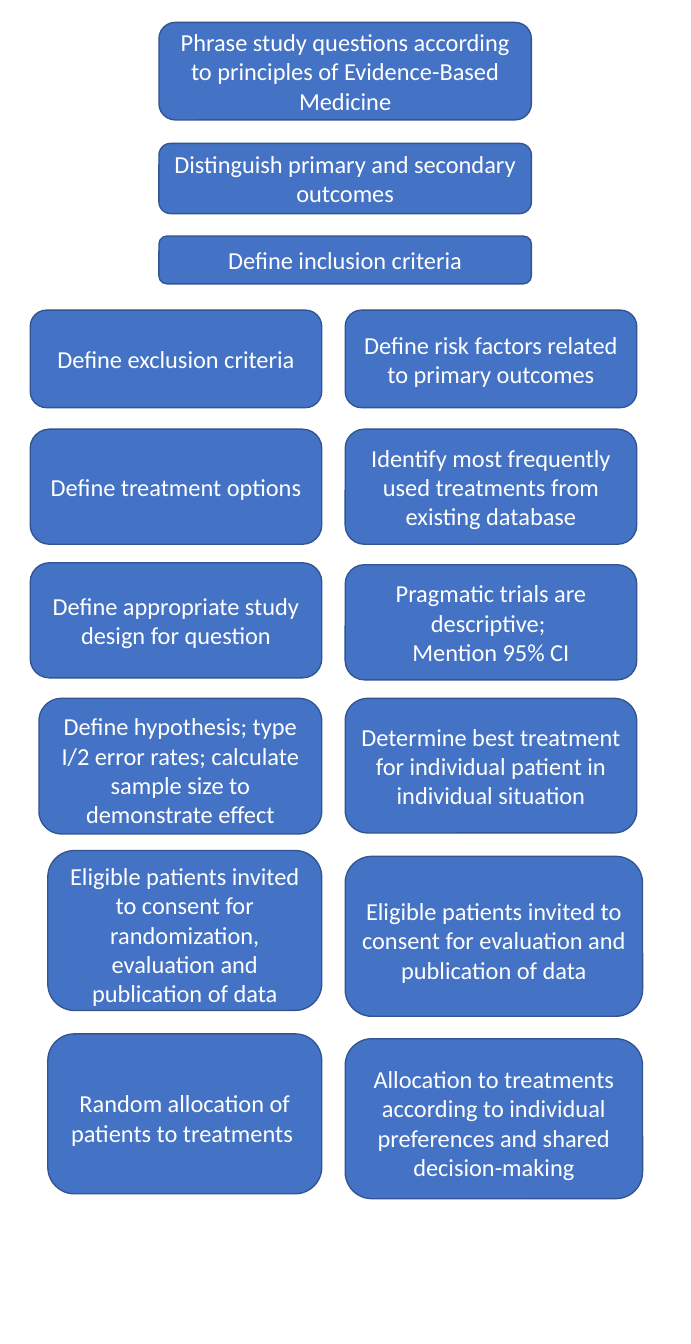
from dataclasses import dataclass

from pptx import Presentation
from pptx.dml.color import RGBColor
from pptx.enum.shapes import MSO_SHAPE as Preset
from pptx.enum.text import MSO_ANCHOR as Anchor, PP_ALIGN as Align
from pptx.util import Inches, Pt


@dataclass(frozen=True)
class Theme:
    font: str = "Calibri"
    size: int = 18
    text: str = "FFFFFF"
    fill: str = "4472C4"
    outline: str = "325491"
    outline_width: int = 1
    side_inset: float = 0.09


class Flowchart:
    def __init__(self, slide, theme):
        self.slide = slide
        self.theme = theme

    def step(self, left, top, width, height, lines, top_inset=0.05):
        theme = self.theme
        box = self.slide.shapes.add_shape(
            Preset.ROUNDED_RECTANGLE,
            Inches(left), Inches(top), Inches(width), Inches(height),
        )
        box.shadow.inherit = False
        box.fill.solid()
        box.fill.fore_color.rgb = RGBColor.from_string(theme.fill)
        box.line.color.rgb = RGBColor.from_string(theme.outline)
        box.line.width = Pt(theme.outline_width)
        frame = box.text_frame
        frame.word_wrap = True
        frame.vertical_anchor = Anchor.MIDDLE
        frame.margin_left = frame.margin_right = Inches(theme.side_inset)
        frame.margin_top = Inches(top_inset)
        for index, line in enumerate(lines):
            paragraph = frame.add_paragraph() if index else frame.paragraphs[0]
            paragraph.alignment = Align.CENTER
            run = paragraph.add_run()
            run.text = line
            run.font.name = theme.font
            run.font.size = Pt(theme.size)
            run.font.color.rgb = RGBColor.from_string(theme.text)


CM_PER_INCH = 2.54
SLIDE_WIDTH, SLIDE_HEIGHT = 18 / CM_PER_INCH, 35 / CM_PER_INCH
SHARED_LEFT, SHARED_WIDTH = 1.63, 3.82
TRIAL_RIGHT = 3.3
PRAGMATIC_LEFT = 3.54
LOWERED = 0.13

SHARED_STEPS = [
    (0.23, 1, ["Phrase study questions according to principles of Evidence-Based Medicine"]),
    (1.47, 0.72, ["Distinguish primary and secondary outcomes"]),
    (2.42, 0.49, ["Define inclusion criteria"]),
]

TRIAL_STEPS = [
    (3.18, 2.99, 1, ["Define exclusion criteria"]),
    (4.4, 2.99, 1.18, ["Define treatment options"]),
    (5.77, 2.99, 1.18, ["Define appropriate study design for question"]),
    (7.16, 2.9, 1.39, ["Define hypothesis; type I/2 error rates; calculate sample size to "
                       "demonstrate effect"], LOWERED),
    (8.72, 2.81, 1.64, ["Eligible patients invited to consent for randomization, evaluation "
                        "and publication of data"], LOWERED),
    (10.6, 2.81, 1.64, ["Random allocation of patients to treatments "], LOWERED),
]

PRAGMATIC_STEPS = [
    (3.18, 2.99, 1, ["Define risk factors related to primary outcomes"]),
    (4.4, 2.99, 1.18, ["Identify most frequently used treatments from existing database"]),
    (5.79, 2.99, 1.18, ["Pragmatic trials are descriptive; ", "Mention 95% CI"]),
    (7.16, 2.99, 1.38, ["Determine best treatment for individual patient in individual "
                        "situation"]),
    (8.78, 3.05, 1.64, ["Eligible patients invited to consent for evaluation and "
                        "publication of data"], LOWERED),
    (10.65, 3.05, 1.64, ["Allocation to treatments according to individual preferences "
                         "and shared decision-making"], LOWERED),
]


def main():
    deck = Presentation()
    deck.slide_width = Inches(SLIDE_WIDTH)
    deck.slide_height = Inches(SLIDE_HEIGHT)
    chart = Flowchart(deck.slides.add_slide(deck.slide_layouts[6]), Theme())
    for top, height, lines in SHARED_STEPS:
        chart.step(SHARED_LEFT, top, SHARED_WIDTH, height, lines)
    for trial, pragmatic in zip(TRIAL_STEPS, PRAGMATIC_STEPS):
        trial_width = trial[1]
        chart.step(TRIAL_RIGHT - trial_width, *trial)
        chart.step(PRAGMATIC_LEFT, *pragmatic)
    deck.save("out.pptx")


if __name__ == "__main__":
    main()
